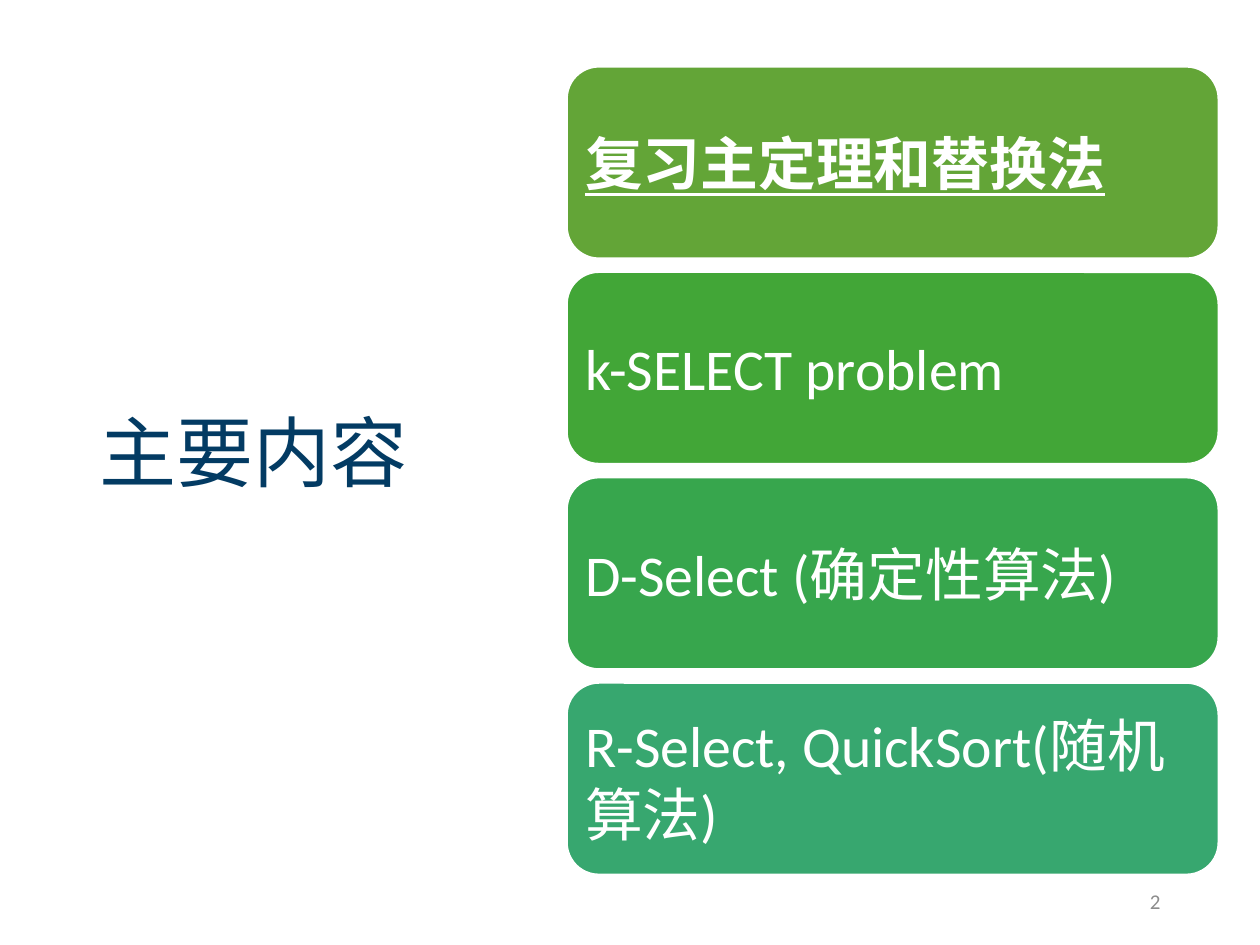
from pptx import Presentation
from pptx.dml.color import RGBColor
from pptx.enum.shapes import MSO_SHAPE
from pptx.enum.text import MSO_ANCHOR, MSO_AUTO_SIZE, PP_ALIGN
from pptx.util import Inches, Pt

ROUNDED = MSO_SHAPE.ROUNDED_RECTANGLE
MIDDLE = MSO_ANCHOR.MIDDLE
NO_FIT = MSO_AUTO_SIZE.NONE
LEFT, RIGHT = PP_ALIGN.LEFT, PP_ALIGN.RIGHT

FONT = "Calibri"
TITLE_ONLY = 5
NAVY = RGBColor(0x03, 0x3B, 0x63)
GREY = RGBColor(0x8C, 0x8C, 0x8C)
WHITE = RGBColor(0xFF, 0xFF, 0xFF)
OLIVE = RGBColor(0x63, 0xA5, 0x37)
GREEN = RGBColor(0x42, 0xA6, 0x37)
EMERALD = RGBColor(0x37, 0xA6, 0x4D)
TEAL = RGBColor(0x37, 0xA7, 0x6F)

TITLE_BOX = (0.69, 1.31, 2.84, 4.63)
TOPICS_BOX = (4.5, 0.53, 5.17, 6.41)
NUMBER_BOX = (7.06, 6.95, 2.25, 0.4)
TOPIC_GAP = 0.11
TOPIC_INSET = 0.07

TOPICS = [
    ("复习主定理和替换法", OLIVE),
    ("k-SELECT problem", GREEN),
    ("D-Select (确定性算法)", EMERALD),
    ("R-Select, QuickSort(随机算法)", TEAL),
]


def inches(box):
    return [Inches(length) for length in box]


def write(shape, text, size, color, align=LEFT, spacing=None, inset=None,
          current=False):
    """Fill a shape with one paragraph; the current topic is bold and underlined."""
    frame = shape.text_frame
    frame.word_wrap = True
    frame.auto_size = NO_FIT
    frame.vertical_anchor = MIDDLE
    if inset is not None:
        frame.margin_left = frame.margin_right = Inches(inset)
        frame.margin_top = frame.margin_bottom = Inches(inset)
    paragraph = frame.paragraphs[0]
    paragraph.alignment = align
    if spacing:
        paragraph.line_spacing = spacing
    run = paragraph.add_run()
    run.text = text
    font = run.font
    font.name, font.size, font.color.rgb = FONT, Pt(size), color
    if current:
        font.bold = font.underline = True


def place_title(slide, box, text):
    title = slide.shapes.title
    title.left, title.top, title.width, title.height = inches(box)
    write(title, text, 44, NAVY, spacing=0.9)


def stack_topics(slide, box, topics, current=0):
    """Divide the box into equal rounded bars, one for each topic."""
    left, top, width, height = box
    bar_height = (height - TOPIC_GAP * (len(topics) - 1)) / len(topics)
    for row, (topic, color) in enumerate(topics):
        bar_top = top + row * (bar_height + TOPIC_GAP)
        bar = slide.shapes.add_shape(
            ROUNDED, *inches((left, bar_top, width, bar_height)))
        bar.shadow.inherit = False
        bar.fill.solid()
        bar.fill.fore_color.rgb = color
        bar.line.color.rgb = WHITE
        bar.line.width = Pt(1)
        write(bar, topic, 33, WHITE, inset=TOPIC_INSET, current=row == current)


def place_number(slide, box, number):
    write(slide.shapes.add_textbox(*inches(box)), number, 12, GREY, align=RIGHT)


def main():
    deck = Presentation()
    deck.slide_width, deck.slide_height = Inches(10), Inches(7.5)
    slide = deck.slides.add_slide(deck.slide_layouts[TITLE_ONLY])
    place_title(slide, TITLE_BOX, "主要内容")
    stack_topics(slide, TOPICS_BOX, TOPICS)
    place_number(slide, NUMBER_BOX, "2")
    deck.save("out.pptx")


if __name__ == "__main__":
    main()
